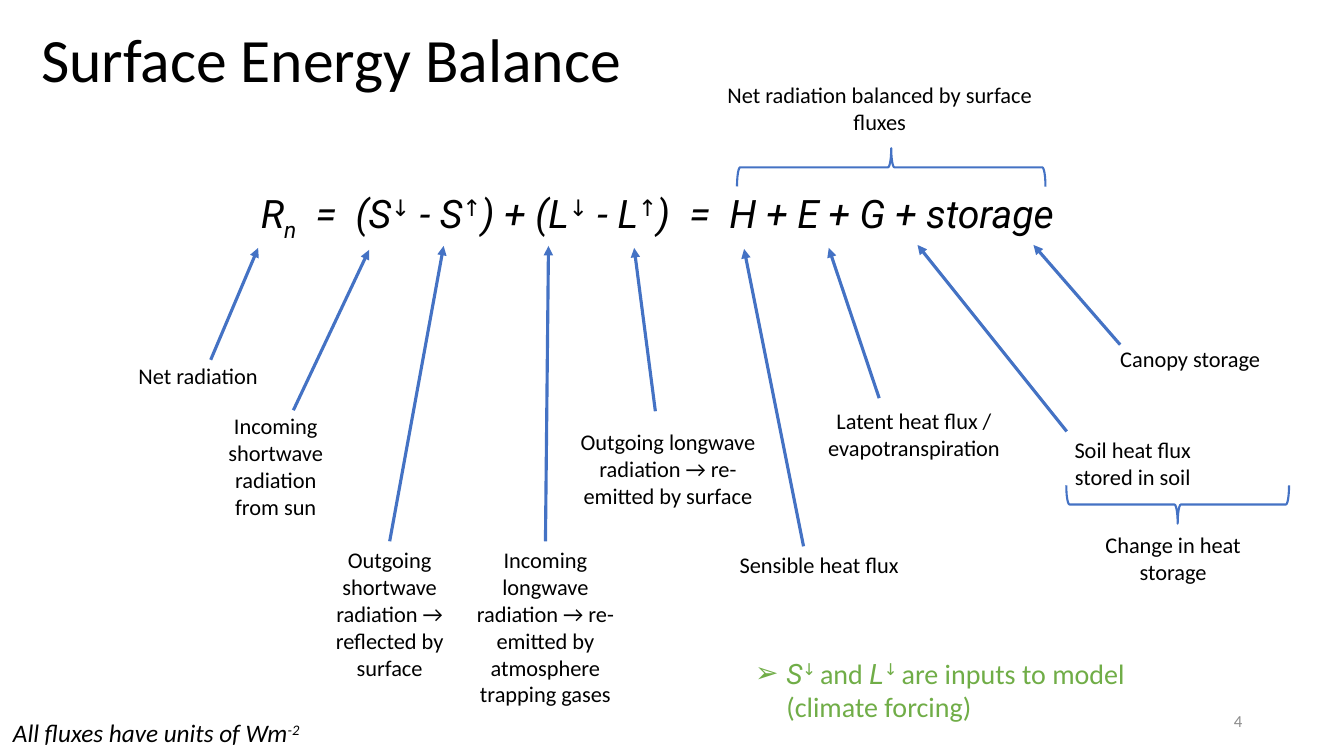
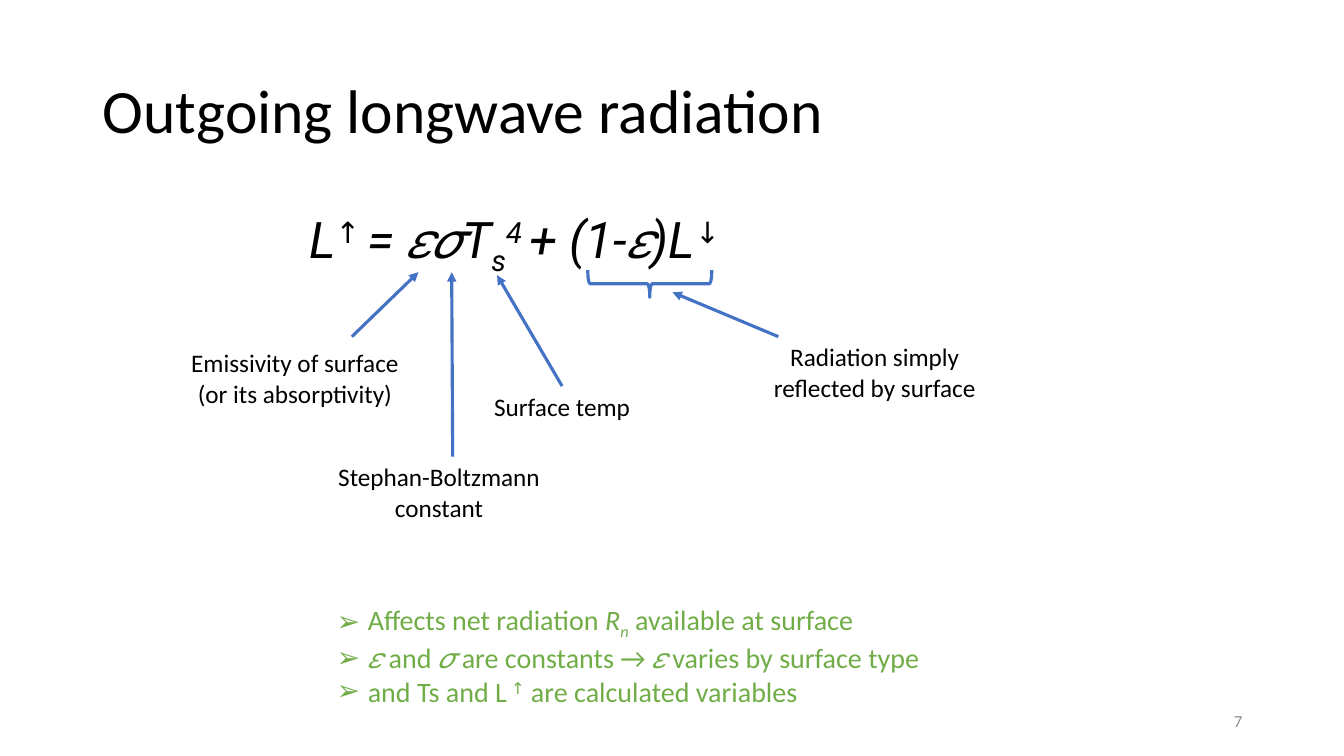
import pptx
import pptx.dml.color
import pptx.enum.shapes
import pptx.enum.text
import pptx.oxml
import pptx.oxml.ns
import pptx.util
import lxml.etree

RGBColor = pptx.dml.color.RGBColor
Shape = pptx.enum.shapes.MSO_SHAPE
Align = pptx.enum.text.PP_ALIGN
Anchor = pptx.enum.text.MSO_ANCHOR
qn = pptx.oxml.ns.qn

# Shared look
BLACK = RGBColor(0x00, 0x00, 0x00)
BLUE = RGBColor(0x44, 0x72, 0xC4)
GREEN = RGBColor(0x70, 0xAD, 0x47)
GREY = RGBColor(0x8C, 0x8C, 0x8C)
BODY_FONT = "Calibri"
MATH_FONT = "Roboto"
EMU_PER_PX = 9144  # 100 px to the inch
BULLET_INDENT = 31
TOP_SIDE = 0
BASELINES = {"^": "30000", "_": "-25000"}

# Labels: wording, box, arrow start (None joins the top of the box), arrow tip
BALANCE_LABELS = [
    ("Net radiation", (110, 354, 173, 37), (209, 357), (256, 246)),
    ("Incoming shortwave radiation from sun",
     (202, 404, 143, 118), (291, 407), (366, 248)),
    ("Outgoing shortwave radiation → reflected by surface",
     (315, 537, 143, 145), None, (440, 244)),
    ("Incoming longwave radiation → re-emitted by atmosphere trapping gases",
     (456, 537, 170, 172), None, (544, 244)),
    ("Outgoing longwave radiation → re-emitted by surface",
     (565, 420, 195, 91), (650, 408), (629, 246)),
    ("Sensible heat flux", (715, 542, 195, 37), (797, 542), (738, 247)),
    ("Latent heat flux / evapotranspiration",
     (809, 399, 195, 64), (872, 395), (822, 246)),
    ("Soil heat flux stored in soil",
     (1026, 428, 195, 64), (1058, 428), (910, 243)),
    ("Canopy storage", (1083, 337, 195, 37), (1111, 342), (1025, 243)),
]
LONGWAVE_LABELS = [
    ("Emissivity of surface (or its absorptivity)",
     (170, 340, 245, 71), (349, 334), (415, 270)),
    ("Radiation simply reflected by surface",
     (745, 334, 245, 71), (772, 334), (667, 290)),
    ("Stephan-Boltzmann constant",
     (313, 453, 245, 71), (449, 453), (448, 270)),
    ("Surface temp", (435, 383, 245, 40), None, (493, 273)),
]


def px(length):
    return pptx.util.Emu(length * EMU_PER_PX)


def add_text(slide, box, paragraphs, size, color=BLACK, align=Align.LEFT,
             anchor=Anchor.TOP, bullets=False):
    """Each run is (text, flags): m maths font, i italic, ^ raised, _ lowered."""
    text_box = slide.shapes.add_textbox(*map(px, box))
    frame = text_box.text_frame
    frame.word_wrap = True
    frame.vertical_anchor = anchor
    for index, runs in enumerate(paragraphs):
        paragraph = frame.paragraphs[0] if index == 0 else frame.add_paragraph()
        paragraph.alignment = align
        if bullets:
            add_bullet(paragraph)
        for text, flags in runs:
            run = paragraph.add_run()
            run.text = text
            run.font.size = pptx.util.Pt(size)
            run.font.name = MATH_FONT if "m" in flags else BODY_FONT
            run.font.italic = "i" in flags
            run.font.color.rgb = color
            for mark, baseline in BASELINES.items():
                if mark in flags:
                    run._r.get_or_add_rPr().set("baseline", baseline)
    return text_box


def add_bullet(paragraph):
    properties = paragraph._p.get_or_add_pPr()
    properties.set("marL", str(px(BULLET_INDENT)))
    properties.set("indent", str(-px(BULLET_INDENT)))
    lxml.etree.SubElement(properties, qn("a:buFont"), typeface="Arial")
    lxml.etree.SubElement(properties, qn("a:buChar"), char="➢")


def add_arrow(slide, start, tip):
    arrow = slide.shapes.add_connector(
        pptx.enum.shapes.MSO_CONNECTOR.STRAIGHT, *map(px, start + tip))
    arrow.line.color.rgb = BLUE
    arrow.line.width = pptx.util.Pt(2.25)
    lxml.etree.SubElement(arrow.line._get_or_add_ln(), qn("a:tailEnd"),
                          type="triangle")
    lxml.etree.SubElement(arrow._element.spPr, qn("a:effectLst"))
    return arrow


def add_labels(slide, labels, size):
    for text, box, start, tip in labels:
        label = add_text(slide, box, [[(text, "")]], size, align=Align.CENTER)
        arrow = add_arrow(slide, start or box[:2], tip)
        if start is None:
            arrow.begin_connect(label, TOP_SIDE)


def add_brace(slide, kind, box, rotation, width):
    brace = slide.shapes.add_shape(kind, *map(px, box))
    brace.rotation = rotation
    brace.shadow.inherit = False
    brace.fill.background()
    brace.line.color.rgb = BLUE
    brace.line.width = pptx.util.Pt(width)


def add_slide(deck, title, title_corner, number):
    slide = deck.slides.add_slide(deck.slide_layouts[6])
    heading = add_text(slide, title_corner + (1150, 145), [[(title, "")]], 44,
                       anchor=Anchor.MIDDLE)
    heading.text_frame.paragraphs[0].line_spacing = 0.9
    add_text(slide, (942, 695, 300, 40), [[(number, "")]], 12, GREY,
             Align.RIGHT, Anchor.MIDDLE)
    return slide


def build_balance(deck):
    slide = add_slide(deck, "Surface Energy Balance", (31, -10), "4")

    # Equation and its terms
    equation = [("R", "mi"), ("n", "mi_"), ("  =  (S", "mi"), ("↓", "mi^"),
                (" - S", "mi"), ("↑", "mi^"), (") + (L", "mi"), ("↓", "mi^"),
                (" - L", "mi"), ("↑", "mi^"),
                (")  =  H + E + G + storage", "mi")]
    add_text(slide, (212, 183, 880, 57), [equation], 28, align=Align.CENTER)
    add_labels(slide, BALANCE_LABELS, 16)

    # Braced groups of terms
    for text, box, brace_box, rotation in [
            ("Net radiation balanced by surface fluxes",
             (694, 76, 357, 64), (865, 13, 38, 306), 270),
            ("Change in heat storage",
             (1083, 522, 161, 64), (1149, 390, 38, 221), 90)]:
        add_text(slide, box, [[(text, "")]], 16, align=Align.CENTER)
        add_brace(slide, Shape.RIGHT_BRACE, brace_box, rotation, 1.5)

    # Units and model inputs
    add_text(slide, (3, 707, 342, 40),
             [[("All fluxes have units of Wm", "i"), ("-2", "i^")]], 18)
    inputs = [("S", "mi"), ("↓ ", "mi^"), ("and ", ""), ("L", "mi"),
              ("↓ ", "mi^"), ("are inputs to model (climate forcing)", "")]
    add_text(slide, (739, 646, 461, 77), [inputs], 20, GREEN, bullets=True)


def build_longwave(deck):
    slide = add_slide(deck, "Outgoing longwave radiation", (92, 40), "7")

    # Equation and its terms
    equation = [("L", "mi"), ("↑ ", "mi^"), ("= 𝜀𝜎T", "mi"), ("s", "mi_"),
                ("4 ", "mi^"), ("+ (1-𝜀)L", "mi"), ("↓", "mi^")]
    add_text(slide, (297, 202, 504, 71), [equation], 36)
    add_labels(slide, LONGWAVE_LABELS, 18)
    add_brace(slide, Shape.LEFT_BRACE, (631, 220, 27, 123), 270, 2.25)

    # Consequences
    notes = [
        [("Affects net radiation ", ""), ("R", "i"), ("n", "i_"),
         (" available at surface", "")],
        [("𝜀 ", "mi"), ("and ", ""), ("𝜎 ", "mi"), ("are constants → ", ""),
         ("𝜀", "mi"), (" varies by surface type", "")],
        [("and Ts and L", ""), (" ↑", "mi^"),
         (" are calculated variables", "")],
    ]
    add_text(slide, (324, 593, 694, 111), notes, 20, GREEN, bullets=True)


def main():
    deck = pptx.Presentation()
    deck.slide_width, deck.slide_height = px(1333), px(750)
    build_balance(deck)
    build_longwave(deck)
    deck.save("out.pptx")


if __name__ == "__main__":
    main()
